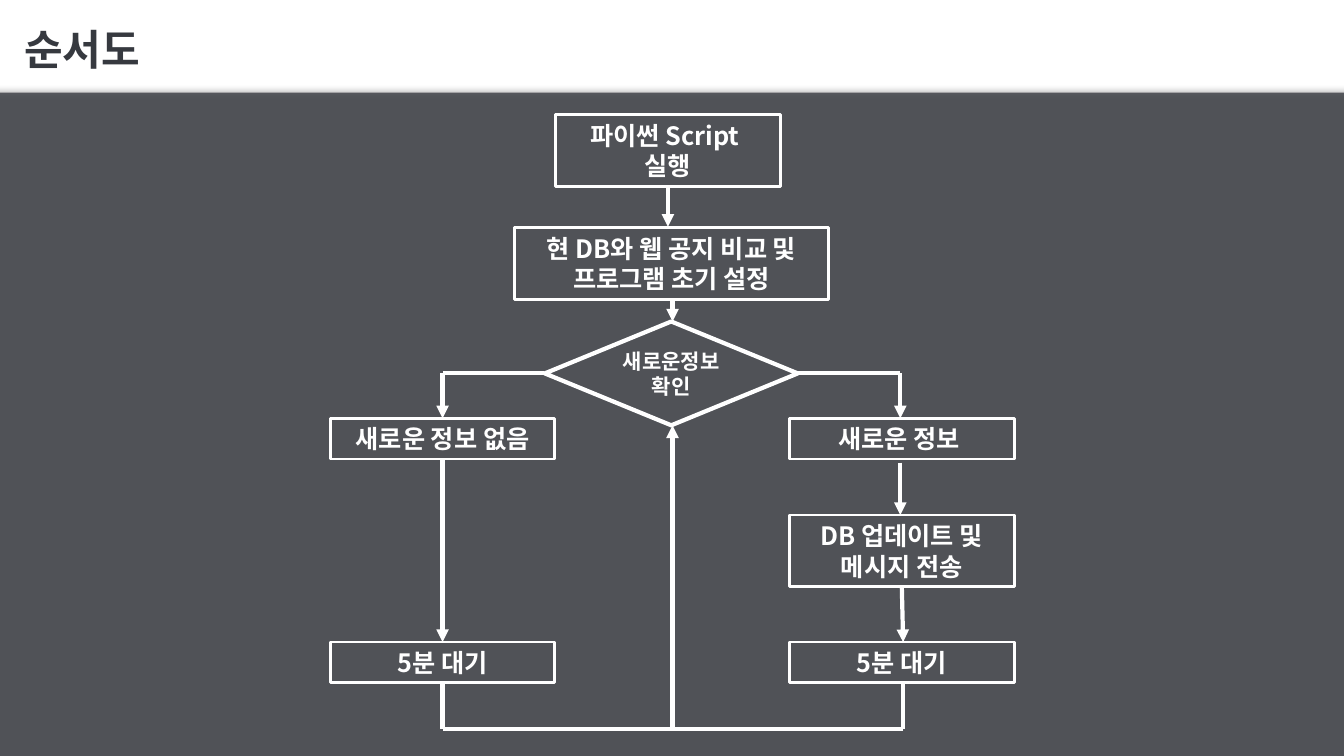
"""Build the flowchart slide of a notice checker, placed by percent of slide size."""
from pptx import Presentation
from pptx.dml.color import RGBColor
from pptx.enum.shapes import MSO_CONNECTOR, MSO_SHAPE
from pptx.enum.text import MSO_ANCHOR, PP_ALIGN
from pptx.oxml.ns import qn
from pptx.util import Inches, Pt
from lxml.etree import SubElement

hues = {"dark": "36393F", "white": "FFFFFF", "black": "000000"}
face = "Noto Sans CJK KR"

deck = Presentation()
deck.slide_width, deck.slide_height = Inches(13.33), Inches(7.5)
slide = deck.slides.add_slide(deck.slide_layouts[6])
shapes = slide.shapes


def place(x, y):
    """Turn percents of the slide's width and height into lengths."""
    return int(deck.slide_width * x / 100), int(deck.slide_height * y / 100)


def write(shape, text, size, hue, align):
    """Put bold text in a shape, one paragraph per line."""
    frame = shape.text_frame
    frame.text = text
    for para in frame.paragraphs:
        para.alignment = align
        font = para.runs[0].font
        for key, value in {"name": face, "size": Pt(size), "bold": True}.items():
            setattr(font, key, value)
        font.color.rgb = RGBColor.from_string(hues[hue])
        SubElement(font._element, qn("a:ea"), typeface=face)
    return frame


panel = shapes.add_shape(MSO_SHAPE.RECTANGLE, *place(-4.5, 12.27), *place(109.08, 100))
panel.fill.solid()
panel.fill.fore_color.rgb = RGBColor.from_string(hues["dark"])
panel.line.fill.background()
tint = panel._element.spPr.find(qn("a:solidFill"))[0]
SubElement(tint, qn("a:alpha"), val="78000")
glow = SubElement(panel._element.spPr, qn("a:effectLst"))
shade = SubElement(glow, qn("a:outerShdw"), blurRad=str(Pt(5)), dist="0", dir="0")
tone = SubElement(shade, qn("a:srgbClr"), val=hues["black"])
SubElement(tone, qn("a:alpha"), val="40000")

title = shapes.add_textbox(*place(1.05, 2.4), *place(10.95, 8.13))
write(title, "순서도", 30, "dark", PP_ALIGN.LEFT).word_wrap = False

left, mid, right = 32.93, 50.04, 67.1
wide, tall, low = 16.73, 9.47, 5.4
split, first, last, end = 49.33, 55.33, 84.93, 96.4
box, gem = MSO_SHAPE.RECTANGLE, MSO_SHAPE.DIAMOND
steps = [
    (box, "파이썬 Script \n실행", 49.7, 15.2, wide, tall, 18, 2),
    (box, "현 DB와 웹 공지 비교 및 프로그램 초기 설정", 49.96, 30.13, 23.4, tall, 18, 2),
    (gem, "새로운정보 확인", 49.95, 42.53, 18.83, 13.73, 15, 3),
    (box, "새로운 정보 없음", left, first, wide, low, 18, 2),
    (box, "새로운 정보 ", right, first, wide, low, 18, 2),
    (box, "DB 업데이트 및 메시지 전송", right, 68.13, wide, tall, 18, 2),
    (box, "5분 대기", left, last, wide, low, 18, 2),
    (box, "5분 대기", right, last, wide, low, 18, 2),
]
for kind, text, x, y, w, h, size, line in steps:
    step = shapes.add_shape(kind, *place(x - w / 2, y), *place(w, h))
    step.shadow.inherit = False
    step.fill.background()
    step.line.color.rgb = RGBColor.from_string(hues["white"])
    step.line.width = Pt(line)
    frame = write(step, text, size, "white", PP_ALIGN.CENTER)
    for key, value in {"word_wrap": True, "vertical_anchor": MSO_ANCHOR.MIDDLE}.items():
        setattr(frame, key, value)

links = [
    (66.99, split, 59.3, split, False),
    (40.5, split, left, split, False),
    (left, 90.4, left, end, False),
    (67.2, 90.4, 67.2, end, False),
    (67.2, end, left, end, False),
    (mid, end, mid, 56.27, True),
    (left, 60.7, left, last, True),
    (66.99, 61.2, 66.99, 68.13, True),
    (67.1, 77.5, 67.2, last, True),
    (49.7, 24.67, 49.7, 30, True),
    (mid, 39.6, mid, 42.53, True),
    (left, split, left, first, True),
    (66.99, split, 66.99, first, True),
]
for x, y, to, down, tip in links:
    link = shapes.add_connector(MSO_CONNECTOR.STRAIGHT, *place(x, y), *place(to, down))
    link.line.color.rgb = RGBColor.from_string(hues["white"])
    link.line.width = Pt(3)
    if tip:
        SubElement(link.line._get_or_add_ln(), qn("a:tailEnd"), type="triangle")
    SubElement(link._element.spPr, qn("a:effectLst"))

deck.save("out.pptx")
